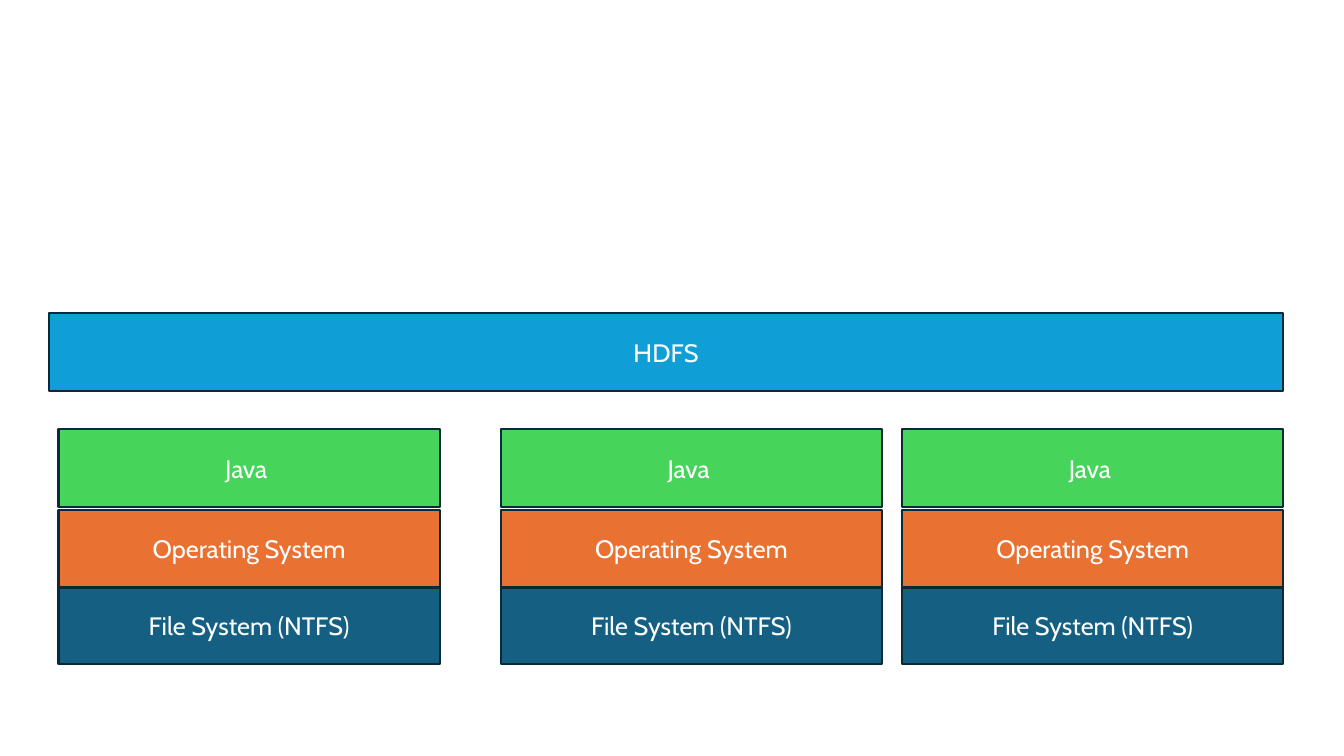
from dataclasses import dataclass

from pptx import Presentation
from pptx.dml.color import RGBColor
from pptx.enum import shapes, text
from pptx.util import Pt


@dataclass(frozen=True)
class Theme:
    font: str = "Cabin"
    size: float = 18
    ink: str = "FFFFFF"
    edge: str = "092A39"
    hdfs: str = "0F9ED5"
    java: str = "47D45A"
    system: str = "E97132"
    files: str = "156082"


THEME = Theme()
HEIGHT = 55.4
WIDTH = 272.2
NODES = (41.8, 357.8, 644.4)
LAYERS = (
    ("File System (NTFS)", 419, THEME.files),
    ("Operating System", 364.3, THEME.system),
    ("Java ", 306.7, THEME.java),
)


def add_box(slide, label, left, top, width, fill):
    box = slide.shapes.add_shape(
        shapes.MSO_SHAPE.RECTANGLE, Pt(left), Pt(top), Pt(width), Pt(HEIGHT))
    box.shadow.inherit = False
    box.fill.solid()
    box.fill.fore_color.rgb = RGBColor.from_string(fill)
    box.line.color.rgb = RGBColor.from_string(THEME.edge)
    box.line.width = Pt(1.5)

    frame = box.text_frame
    frame.text = label
    frame.vertical_anchor = text.MSO_ANCHOR.MIDDLE
    para = frame.paragraphs[0]
    para.alignment = text.PP_ALIGN.CENTER
    para.font.name = THEME.font
    para.font.size = Pt(THEME.size)
    para.font.color.rgb = RGBColor.from_string(THEME.ink)


def add_node(slide, left):
    """Stack the layers of one machine."""
    for label, top, fill in LAYERS:
        add_box(slide, label, left, top, WIDTH, fill)


def main():
    deck = Presentation()
    deck.slide_width, deck.slide_height = Pt(960), Pt(540)
    slide = deck.slides.add_slide(deck.slide_layouts.get_by_name("Blank"))
    add_box(slide, "HDFS", 35.3, 223.9, 880.9, THEME.hdfs)
    for left in NODES:
        add_node(slide, left)
    deck.save("out.pptx")


if __name__ == "__main__":
    main()
